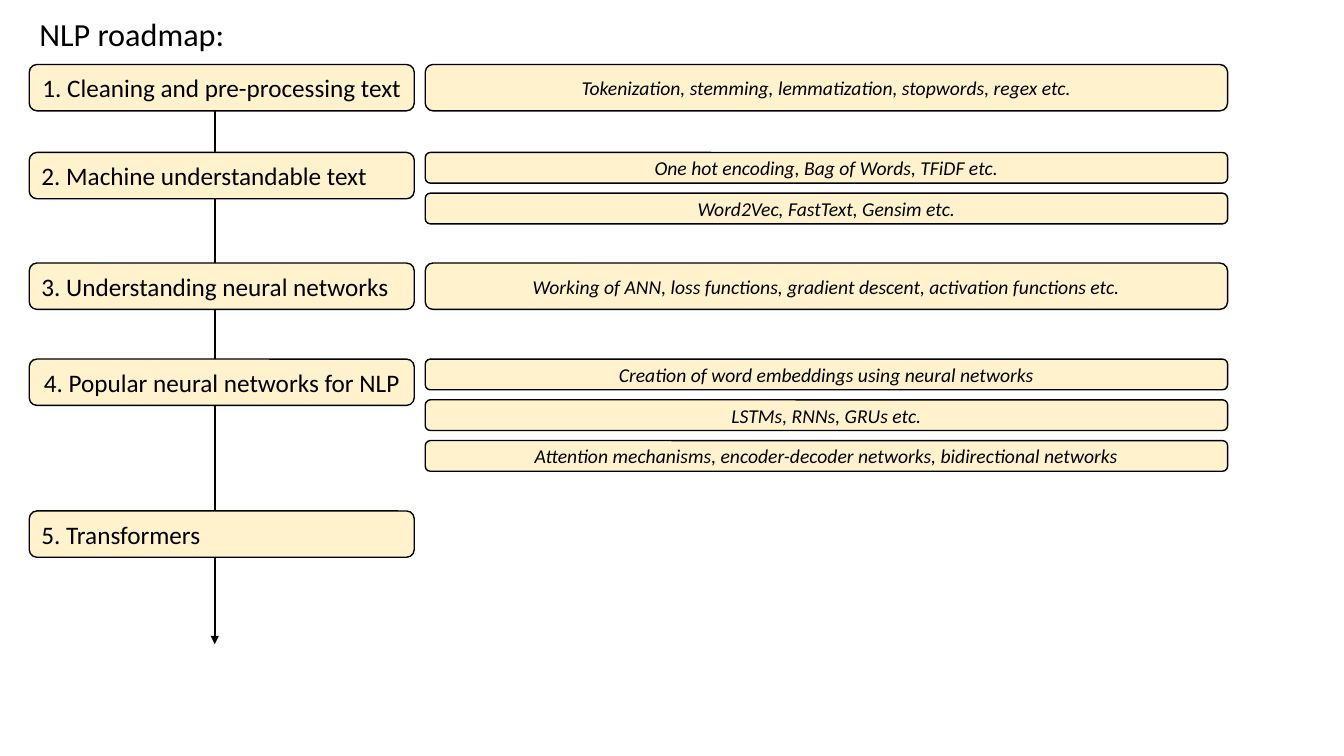
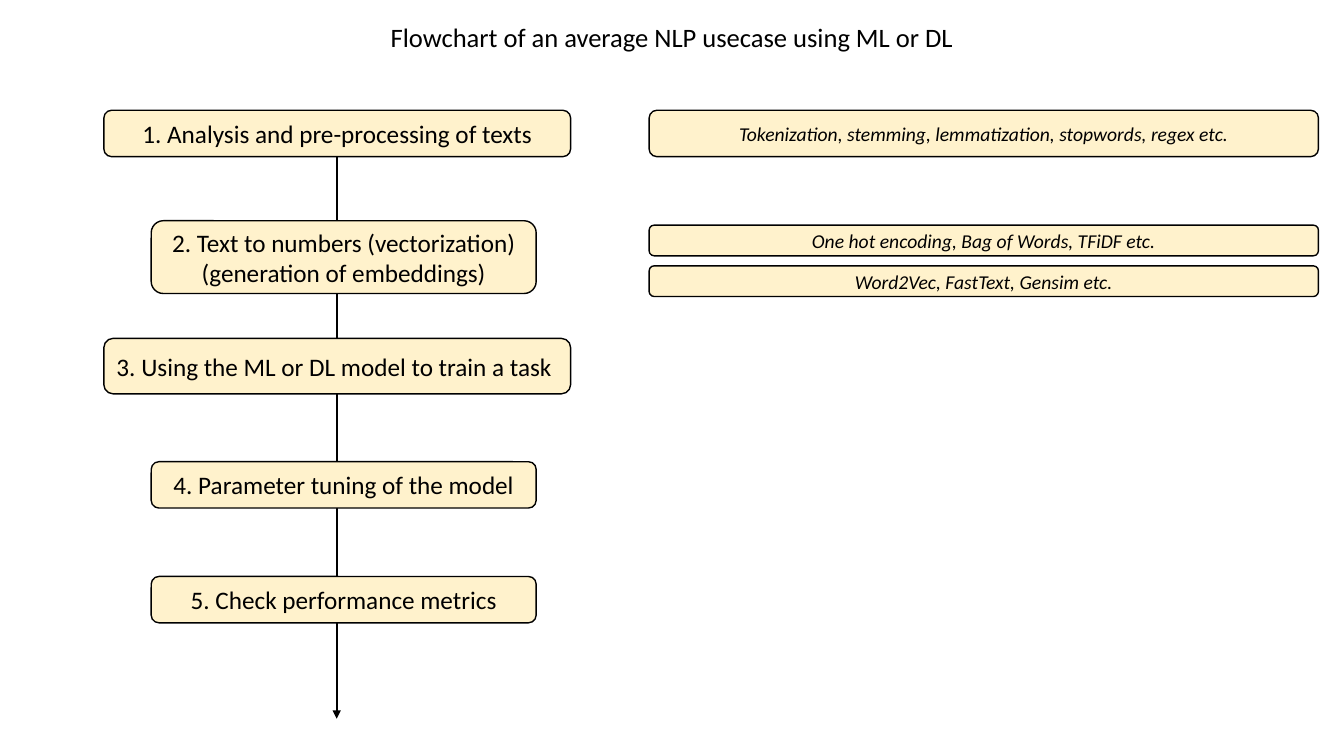
from pptx import Presentation
from pptx.dml.color import RGBColor
from pptx.enum.shapes import MSO_CONNECTOR, MSO_SHAPE
from pptx.enum.text import MSO_ANCHOR, MSO_AUTO_SIZE, PP_ALIGN
from pptx.oxml.ns import qn
from pptx.util import Pt
from lxml import etree

LEFT, CENTER = PP_ALIGN.LEFT, PP_ALIGN.CENTER
MIDDLE = MSO_ANCHOR.MIDDLE
NO_AUTOFIT = MSO_AUTO_SIZE.NONE
ROUNDED = MSO_SHAPE.ROUNDED_RECTANGLE
STRAIGHT = MSO_CONNECTOR.STRAIGHT

COLORS = {"ink": "000000", "cream": "FFF2CC"}
FONT = "Calibri"
TITLE_SIZE = (877.7, 40.3)
STAGE_WIDTH, STAGE_HEIGHT = 275, 33.1
TOPIC_HEIGHT, TOPIC_PITCH = 21.9, 29.1

PREPROCESSING = ["Tokenization, stemming, lemmatization, stopwords, regex etc."]
VECTORIZATION = ["One hot encoding, Bag of Words, TFiDF etc.",
                 "Word2Vec, FastText, Gensim etc."]


def color(name):
    return RGBColor.from_string(COLORS[name])


def style_text(frame, text, size, align, italic=False):
    frame.word_wrap = True
    frame.vertical_anchor = MIDDLE
    paragraph = frame.paragraphs[0]
    paragraph.text = text
    paragraph.alignment = align
    font = paragraph.font
    font.name, font.size, font.italic = FONT, Pt(size), italic
    font.color.rgb = color("ink")
    return paragraph


def add_title(slide, left, top, text, size, align):
    title = slide.shapes.title
    title.left, title.top = Pt(left), Pt(top)
    title.width, title.height = (Pt(side) for side in TITLE_SIZE)
    style_text(title.text_frame, text, size, align).line_spacing = 0.9
    title.text_frame.auto_size = NO_AUTOFIT


def add_flow_arrow(slide, x, top, bottom):
    arrow = slide.shapes.add_connector(STRAIGHT, Pt(x), Pt(top), Pt(x), Pt(bottom))
    arrow.line.color.rgb = color("ink")
    arrow.line.width = Pt(1.5)
    etree.SubElement(arrow.line._get_or_add_ln(), qn("a:tailEnd"), type="triangle")
    etree.SubElement(arrow._element.spPr, qn("a:effectLst"))


def add_box(slide, box, text, size, align=CENTER, italic=False):
    card = slide.shapes.add_shape(ROUNDED, *(Pt(length) for length in box))
    card.shadow.inherit = False
    card.fill.solid()
    card.fill.fore_color.rgb = color("cream")
    card.line.color.rgb = color("ink")
    card.line.width = Pt(1)
    style_text(card.text_frame, text, size, align, italic)


def add_stage(slide, box, text, align):
    add_box(slide, box, text, 18, align)


def add_topics(slide, left, top, width, topics):
    """A lone topic is as tall as a stage; several stack as thin bars."""
    height = STAGE_HEIGHT if len(topics) == 1 else TOPIC_HEIGHT
    for row, topic in enumerate(topics):
        add_box(slide, (left, top + row * TOPIC_PITCH, width, height),
                topic, 14, italic=True)


def build_roadmap(slide):
    stage_left, topic_left, topic_width = 20.9, 303.8, 573.1
    add_title(slide, stage_left, 5.8, "NLP roadmap:", 23, LEFT)
    add_flow_arrow(slide, 153.4, 79.2, 460.1)
    # Stage top, label, alignment, topics beside it
    stages = [
        (46.1, "1. Cleaning and pre-processing text", CENTER, PREPROCESSING),
        (108.9, "2. Machine understandable text", LEFT, VECTORIZATION),
        (187.9, "3. Understanding neural networks", LEFT,
         ["Working of ANN, loss functions, gradient descent, activation functions etc."]),
        (256.5, "4. Popular neural networks for NLP", CENTER,
         ["Creation of word embeddings using neural networks",
          "LSTMs, RNNs, GRUs etc.",
          "Attention mechanisms, encoder-decoder networks, bidirectional networks"]),
        (365, "5. Transformers", LEFT, []),
    ]
    for top, label, align, topics in stages:
        add_stage(slide, (stage_left, top, STAGE_WIDTH, STAGE_HEIGHT), label, align)
        add_topics(slide, topic_left, top, topic_width, topics)


def build_usecase_flow(slide):
    topic_left, topic_width = 463.7, 478.1
    wide, narrow = (74.2, 333.4), (108, STAGE_WIDTH)
    add_title(slide, 41, 7.9, "Flowchart of an average NLP usecase using ML or DL",
              19, CENTER)
    add_flow_arrow(slide, 240.5, 78.5, 513.4)
    # Stage column, top, height, label, alignment
    stages = [
        (wide, 78.8, STAGE_HEIGHT, "1. Analysis and pre-processing of texts", CENTER),
        (narrow, 157.7, 52, "2. Text to numbers (vectorization) "
         "(generation of embeddings)", CENTER),
        (wide, 241.7, 39.6, "3. Using the ML or DL model to train a task", LEFT),
        (narrow, 329.8, STAGE_HEIGHT, "4. Parameter tuning of the model", CENTER),
        (narrow, 411.8, STAGE_HEIGHT, "5. Check performance metrics", CENTER),
    ]
    for (left, width), top, height, label, align in stages:
        add_stage(slide, (left, top, width, height), label, align)
    # Topics beside the first two stages
    for top, topics in ((78.8, PREPROCESSING), (160.8, VECTORIZATION)):
        add_topics(slide, topic_left, top, topic_width, topics)


prs = Presentation()
prs.slide_width, prs.slide_height = Pt(960), Pt(540)
title_only = prs.slide_layouts[5]
for build in (build_roadmap, build_usecase_flow):
    build(prs.slides.add_slide(title_only))
prs.save("out.pptx")
